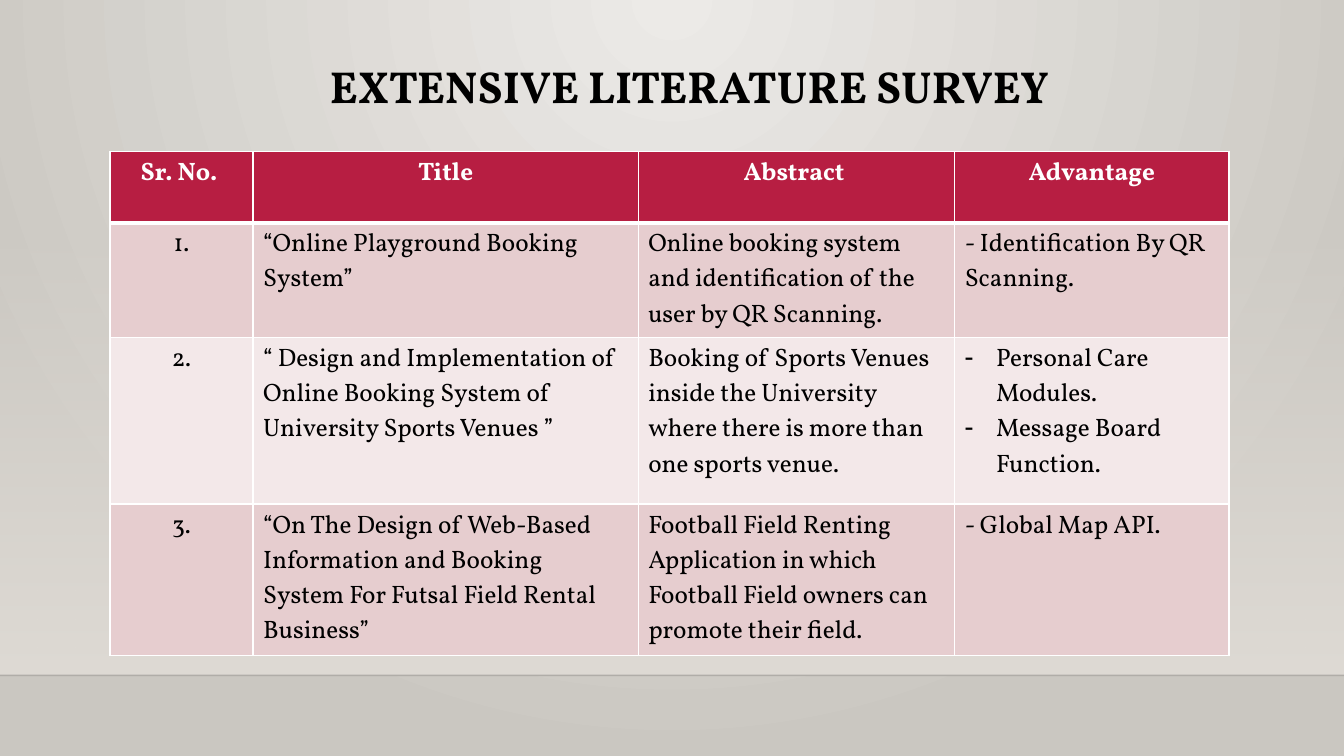
from lxml import etree
from pptx import Presentation
from pptx.dml.color import RGBColor
from pptx.enum import shapes, text
from pptx.oxml import ns
from pptx.util import Inches, Pt

FONT = "Vollkorn"
BLACK = RGBColor(0x00, 0x00, 0x00)
WHITE = RGBColor(0xFF, 0xFF, 0xFF)
CRIMSON = RGBColor(0xB7, 0x1E, 0x42)
ROSE = RGBColor(0xE6, 0xCD, 0xCF)
PALE_ROSE = RGBColor(0xF3, 0xE8, 0xE9)
WALL_LIGHT = RGBColor(0xEC, 0xEA, 0xE7)
WALL_DARK = RGBColor(0xCA, 0xC7, 0xC1)
HAZE = RGBColor(0xDF, 0xDB, 0xD5)

COLUMN_WIDTHS = [1.42, 3.82, 3.14, 2.72]
ROW_HEIGHTS = [0.71, 1.14, 1.65, 1.5]
# A list in a cell becomes dashed bullets
SURVEY = [
    ["Sr. No. ", "Title", "Abstract ", "Advantage"],
    ["1.", "“Online Playground Booking System”",
     "Online booking system and identification of the user by QR Scanning.",
     "- Identification By QR Scanning."],
    ["2.", "“ Design and Implementation of Online Booking System of "
           "University Sports Venues ”",
     "Booking of Sports Venues inside the University where there is more "
     "than one sports venue.",
     ["Personal Care Modules.", "Message Board Function."]],
    ["3.", "“On The Design of Web-Based Information and Booking System For "
           "Futsal Field Rental Business”",
     "Football Field Renting Application in which Football Field owners can "
     "promote their field.",
     "- Global Map API."],
]


def add_xml(parent, tag, **attributes):
    return etree.SubElement(parent, ns.qn(tag), attributes)


def set_gradient(fill, colors):
    fill.gradient()
    for stop, color, position in zip(fill.gradient_stops, colors, (0, 1)):
        stop.color.rgb = color
        stop.position = position


def set_font(paragraph, size, color, bold):
    font = paragraph.font
    font.name, font.size, font.bold = FONT, Pt(size), bold
    font.color.rgb = color


def paint_background(slide):
    set_gradient(slide.background.fill, (WALL_LIGHT, WALL_DARK))
    gradient = next(slide.element.iter(ns.qn("a:gradFill")))
    gradient.remove(gradient.find(ns.qn("a:lin")))
    circle = add_xml(gradient, "a:path", path="circle")
    add_xml(circle, "a:fillToRect", l="43000", t="0", r="43000", b="100000")


def add_haze(slide):
    haze = slide.shapes.add_shape(shapes.MSO_SHAPE.RECTANGLE, 0, Inches(2.21),
                                  Inches(13.33), Inches(4.49))
    haze.shadow.inherit = False
    haze.line.fill.background()
    set_gradient(haze.fill, (HAZE, HAZE))
    haze.fill.gradient_angle = 270
    clear_color = next(haze.element.iter(ns.qn("a:srgbClr")))
    add_xml(clear_color, "a:alpha", val="0")


def add_floor_line(slide):
    floor = slide.shapes.add_connector(shapes.MSO_CONNECTOR.STRAIGHT, 0, Inches(6.7),
                                       Inches(13.33), Inches(6.7))
    floor.line.width = Pt(1)
    floor.line.color.rgb = BLACK
    add_xml(next(floor.element.iter(ns.qn("a:srgbClr"))), "a:alpha", val="20000")
    add_xml(floor.element.spPr, "a:effectLst")


def add_title(slide, wording):
    title = slide.shapes.add_textbox(Inches(1.59), Inches(0.52), Inches(10.5), Inches(0.72))
    frame = title.text_frame
    frame.word_wrap = True
    frame.vertical_anchor = text.MSO_ANCHOR.MIDDLE
    heading = frame.paragraphs[0]
    heading.text = wording
    heading.alignment = text.PP_ALIGN.CENTER
    heading.line_spacing = 0.9
    set_font(heading, 32, BLACK, True)


def set_borders(cell, bottom_width):
    properties = cell._tc.get_or_add_tcPr()
    for side, width in (("L", 1), ("R", 1), ("T", 1), ("B", bottom_width)):
        border = add_xml(properties, f"a:ln{side}", w=str(Pt(width)))
        solid = add_xml(border, "a:solidFill")
        add_xml(solid, "a:srgbClr", val=str(WHITE))


def add_dash(paragraph):
    properties = paragraph._p.get_or_add_pPr()
    properties.set("marL", str(Inches(0.31)))
    properties.set("indent", str(-Inches(0.31)))
    bullet = etree.Element(ns.qn("a:buChar"), char="-")
    properties.insert(0, bullet)


def fill_cell(cell, content, row, column):
    is_header = row == 0
    bulleted = isinstance(content, list)
    cell.text = "\n".join(content) if bulleted else content
    for paragraph in cell.text_frame.paragraphs:
        set_font(paragraph, 18, WHITE if is_header else BLACK, is_header)
        if is_header or column == 0:
            paragraph.alignment = text.PP_ALIGN.CENTER
        if bulleted:
            add_dash(paragraph)
    # Borders come before the fill in the cell properties
    set_borders(cell, 3 if is_header else 1)
    cell.fill.solid()
    cell.fill.fore_color.rgb = CRIMSON if is_header else (PALE_ROSE, ROSE)[row % 2]


def add_survey_table(slide):
    table = slide.shapes.add_table(len(ROW_HEIGHTS), len(COLUMN_WIDTHS), Inches(1.09),
                                   Inches(1.5), Inches(sum(COLUMN_WIDTHS)),
                                   Inches(sum(ROW_HEIGHTS))).table
    for column, width in zip(table.columns, COLUMN_WIDTHS):
        column.width = Inches(width)
    for row, height in zip(table.rows, ROW_HEIGHTS):
        row.height = Inches(height)
    for r, entries in enumerate(SURVEY):
        for c, content in enumerate(entries):
            fill_cell(table.cell(r, c), content, r, c)


def main():
    deck = Presentation()
    deck.slide_width, deck.slide_height = Inches(13.33), Inches(7.5)
    slide = deck.slides.add_slide(deck.slide_layouts[6])
    # Backdrop
    paint_background(slide)
    add_haze(slide)
    add_floor_line(slide)
    # Content
    add_title(slide, "EXTENSIVE LITERATURE SURVEY")
    add_survey_table(slide)
    deck.save("out.pptx")


if __name__ == "__main__":
    main()
